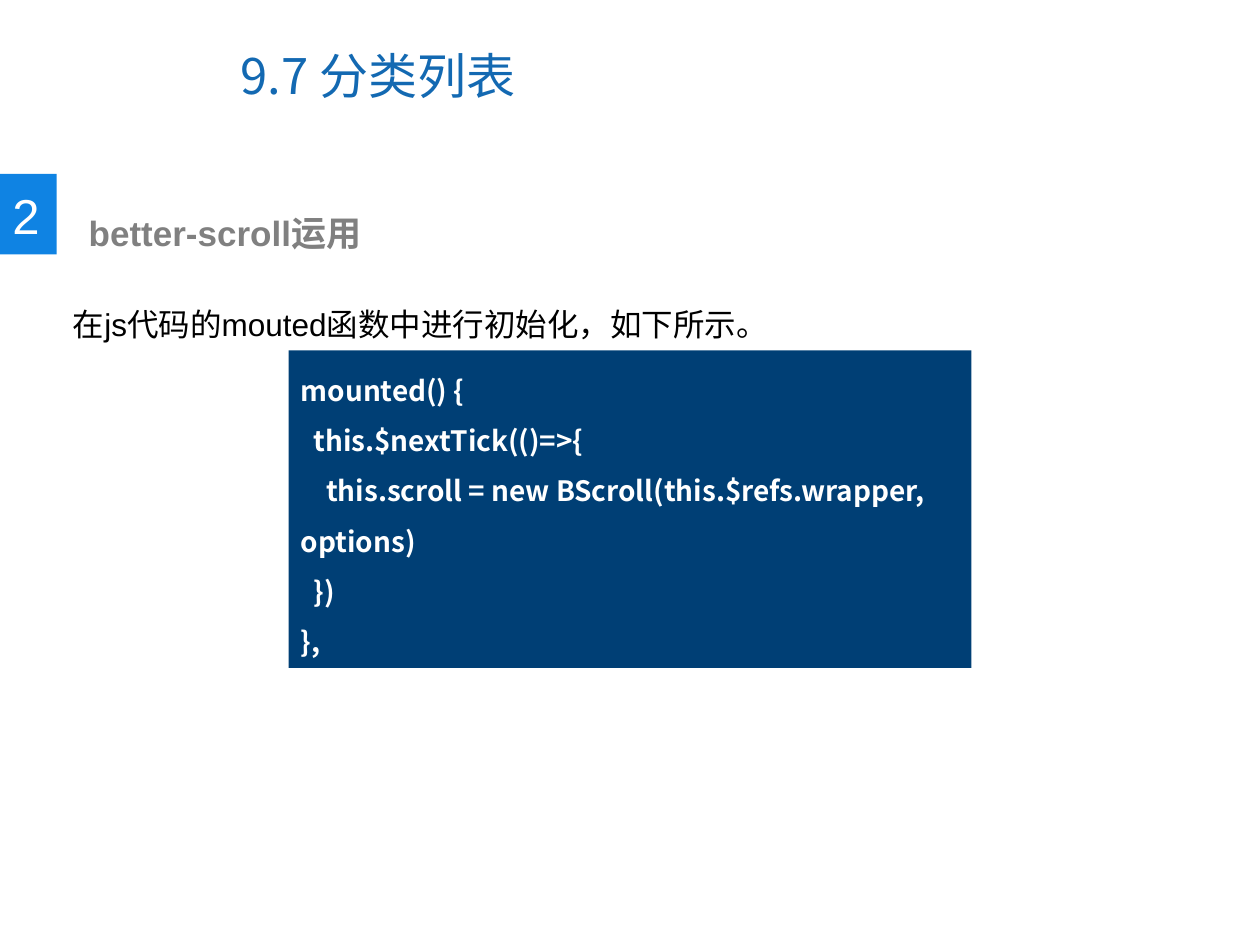
from lxml.etree import SubElement
from pptx import Presentation
from pptx.dml.color import RGBColor
from pptx.enum.shapes import MSO_SHAPE as Shape
from pptx.enum.text import MSO_ANCHOR as Anchor, PP_ALIGN as Align
from pptx.oxml.ns import qn
from pptx.util import Inches, Pt

CJK_FONT = "Noto Sans CJK SC"


def color(hex_code):
    return RGBColor.from_string(hex_code)


class SlideBuilder:
    """Places elements on a grid of 100 columns by 75 rows."""

    BLUE, NAVY, TITLE = "0F83E3", "003F75", "1369B2"
    GRAY, BLACK, WHITE = "808080", "000000", "FFFFFF"

    def __init__(self, deck):
        self.column = deck.slide_width / 100
        self.row = deck.slide_height / 75
        self.slide = deck.slides.add_slide(deck.slide_layouts[6])

    def place(self, left, top, width, height):
        return (round(left * self.column), round(top * self.row),
                round(width * self.column), round(height * self.row))

    def block(self, area, fill):
        block = self.slide.shapes.add_shape(Shape.RECTANGLE, *self.place(*area))
        block.shadow.inherit = False
        block.fill.solid()
        block.fill.fore_color.rgb = color(fill)
        block.line.fill.background()
        return block

    def label(self, area, text, size, ink, **style):
        box = self.slide.shapes.add_textbox(*self.place(*area))
        self.fill_text(box.text_frame, [(0, text)], size, ink, **style)

    def code(self, area, lines):
        panel = self.block(area, self.NAVY)
        self.fill_text(panel.text_frame, lines, 16, self.WHITE,
                       font=CJK_FONT, bold=True, spacing=1.5)

    def fill_text(self, frame, lines, size, ink, font="Arial", bold=False,
                  spacing=1.0, anchor=Anchor.TOP, wrap=True):
        frame.word_wrap = wrap
        frame.vertical_anchor = anchor
        for number, (level, text) in enumerate(lines):
            paragraph = frame.paragraphs[0] if number == 0 else frame.add_paragraph()
            paragraph.alignment = Align.LEFT
            paragraph.line_spacing = spacing
            # Only the first line is indented, so wrapped code returns to the margin
            paragraph._p.get_or_add_pPr().set("indent", str(level * Inches(0.1)))
            paragraph.font.name, paragraph.font.size = font, Pt(size)
            paragraph.font.bold = bold
            paragraph.font.color.rgb = color(ink)
            run = paragraph.add_run()
            run.text = text
            SubElement(run._r.get_or_add_rPr(), qn("a:ea"), typeface=CJK_FONT)


def main():
    deck = Presentation()
    deck.slide_width, deck.slide_height = Inches(10), Inches(7.5)
    page = SlideBuilder(deck)

    # Title
    page.label((18.1, 1.7, 51.6, 8.5), "9.7 分类列表", 28, page.TITLE,
               font=CJK_FONT, anchor=Anchor.MIDDLE)

    # Numbered section heading
    page.block((0, 13.8, 4.5, 6.4), page.BLUE)
    page.label((0, 14.2, 4.2, 5.7), "2", 28, page.WHITE, wrap=False)
    page.label((6.05, 16.3, 50.1, 4.4), "better-scroll运用", 20, page.GRAY, bold=True)

    # Explanation
    page.label((4.8, 20.7, 92.5, 7.1),
               "在js代码的mouted函数中进行初始化，如下所示。", 18, page.BLACK, spacing=2.0)

    # Code sample: indent level and text of each line
    page.code((22.9, 27.8, 54.2, 25.2), [
        (0, "mounted() {"),
        (1, "this.$nextTick(()=>{"),
        (2, "this.scroll = new BScroll(this.$refs.wrapper, options)"),
        (1, "})"),
        (0, "},"),
    ])

    deck.save("out.pptx")


if __name__ == "__main__":
    main()
